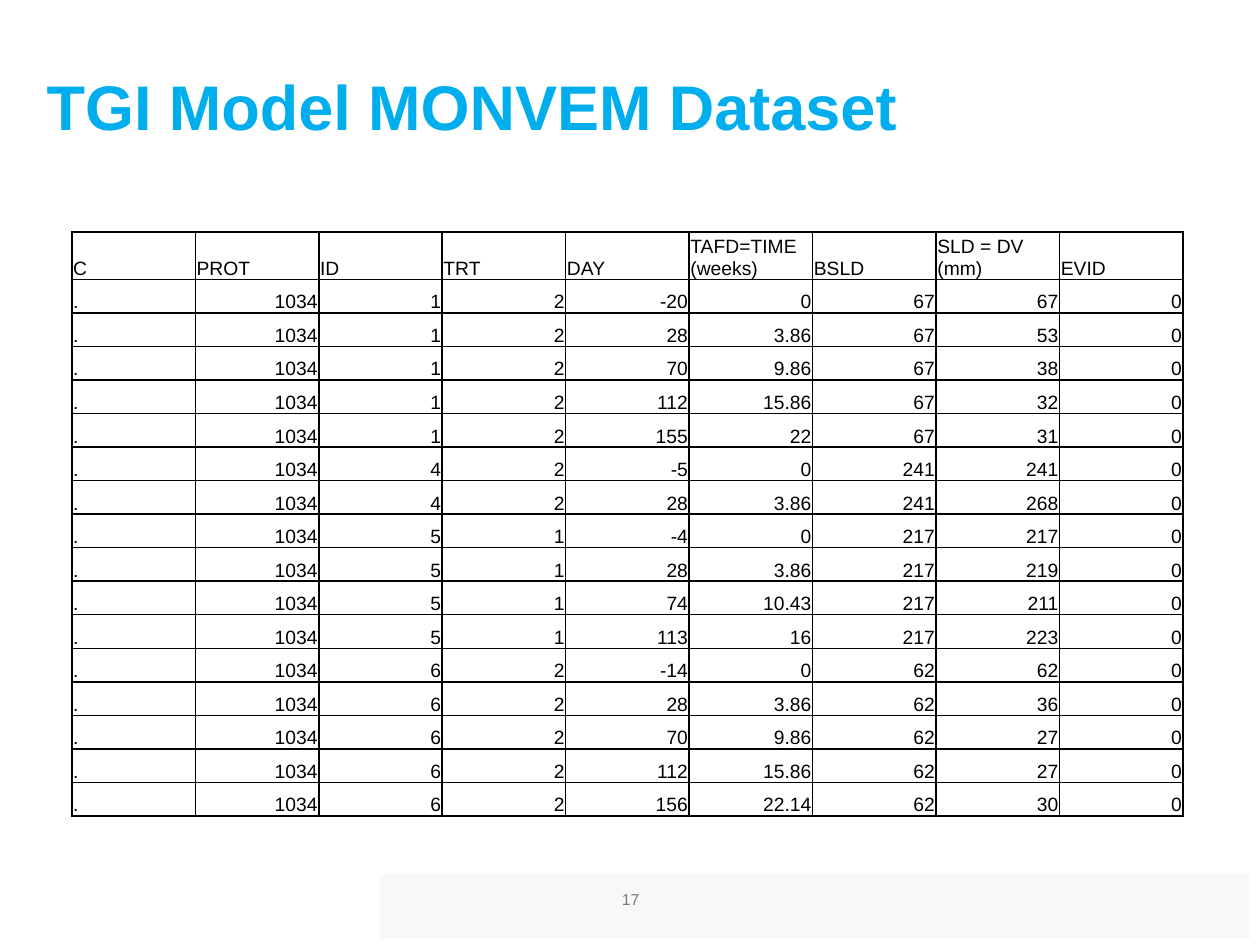
"""Build the TGI Model MONVEM Dataset slide."""
from lxml.etree import SubElement
from pptx import Presentation
from pptx.dml.color import RGBColor
from pptx.enum.shapes import MSO_SHAPE
from pptx.enum.text import MSO_ANCHOR as ANCHOR, MSO_AUTO_SIZE as AUTO, PP_ALIGN as ALIGN
from pptx.oxml.ns import qn
from pptx.util import Inches, Pt


def style(p, size, color, align=ALIGN.LEFT, bold=False):
    p.alignment = align
    p.font.name, p.font.size, p.font.bold = "Arial", Pt(size), bold
    p.font.color.rgb = RGBColor.from_string(color)


def add_borders(cell, color):
    tc_pr = cell._tc.get_or_add_tcPr()
    for i, side in enumerate(("a:lnL", "a:lnR", "a:lnT", "a:lnB")):
        ln = SubElement(tc_pr, qn(side), w=str(Pt(1)))
        fill = SubElement(ln, qn("a:solidFill"))
        SubElement(fill, qn("a:srgbClr"), val=color)
        tc_pr.insert(i, ln)


HEADERS = ["C", "PROT", "ID", "TRT", "DAY", "TAFD=TIME (weeks)", "BSLD", "SLD = DV (mm)", "EVID"]
PATIENTS = [
    ("1", "2", "67", [("-20", "0", "67"), ("28", "3.86", "53"), ("70", "9.86", "38"),
                      ("112", "15.86", "32"), ("155", "22", "31")]),
    ("4", "2", "241", [("-5", "0", "241"), ("28", "3.86", "268")]),
    ("5", "1", "217", [("-4", "0", "217"), ("28", "3.86", "219"), ("74", "10.43", "211"),
                       ("113", "16", "223")]),
    ("6", "2", "62", [("-14", "0", "62"), ("28", "3.86", "36"), ("70", "9.86", "27"),
                      ("112", "15.86", "27"), ("156", "22.14", "30")]),
]
rows = [HEADERS] + [
    [".", "1034", pid, trt, day, weeks, bsld, sld, "0"]
    for pid, trt, bsld, visits in PATIENTS
    for day, weeks, sld in visits
]

prs = Presentation()
prs.slide_width, prs.slide_height = Inches(10), Inches(7.5)
s = prs.slides.add_slide(prs.slide_layouts[5])

band = s.shapes.add_shape(MSO_SHAPE.RECTANGLE, Inches(3.02), Inches(6.94), Inches(6.9), Inches(0.51))
band.shadow.inherit = False
band.fill.solid()
band.fill.fore_color.rgb = RGBColor.from_string("F8F8F8")
band.line.fill.background()

title = s.shapes.title
title.left, title.top, title.width, title.height = map(Inches, (0.27, 0.54, 9.41, 0.66))
tf = title.text_frame
tf.text = "TGI Model MONVEM Dataset"
tf.auto_size, tf.vertical_anchor = AUTO.NONE, ANCHOR.MIDDLE
tf.paragraphs[0].line_spacing = 0.9
style(tf.paragraphs[0], 36, "00AEEE", bold=True)

number = s.shapes.add_textbox(Inches(3.88), Inches(6.94), Inches(2.25), Inches(0.4))
tf = number.text_frame
tf.word_wrap, tf.vertical_anchor = True, ANCHOR.MIDDLE
tf.text = "17"
style(tf.paragraphs[0], 9, "7A7A7A", ALIGN.CENTER)

table = s.shapes.add_table(len(rows), len(HEADERS), Inches(0.57), Inches(1.84),
                           Inches(8.82), Inches(4.53)).table
table.first_row = table.horz_banding = False
for i, row in enumerate(rows):
    for j, value in enumerate(row):
        cell = table.cell(i, j)
        cell.text = value
        cell.fill.background()
        cell.vertical_anchor = ANCHOR.BOTTOM
        cell.margin_left = cell.margin_right = cell.margin_top = Inches(0.01)
        cell.margin_bottom = 0
        style(cell.text_frame.paragraphs[0], 11, "000000", ALIGN.RIGHT if i and j else ALIGN.LEFT)
        add_borders(cell, "000000")

prs.save("out.pptx")
